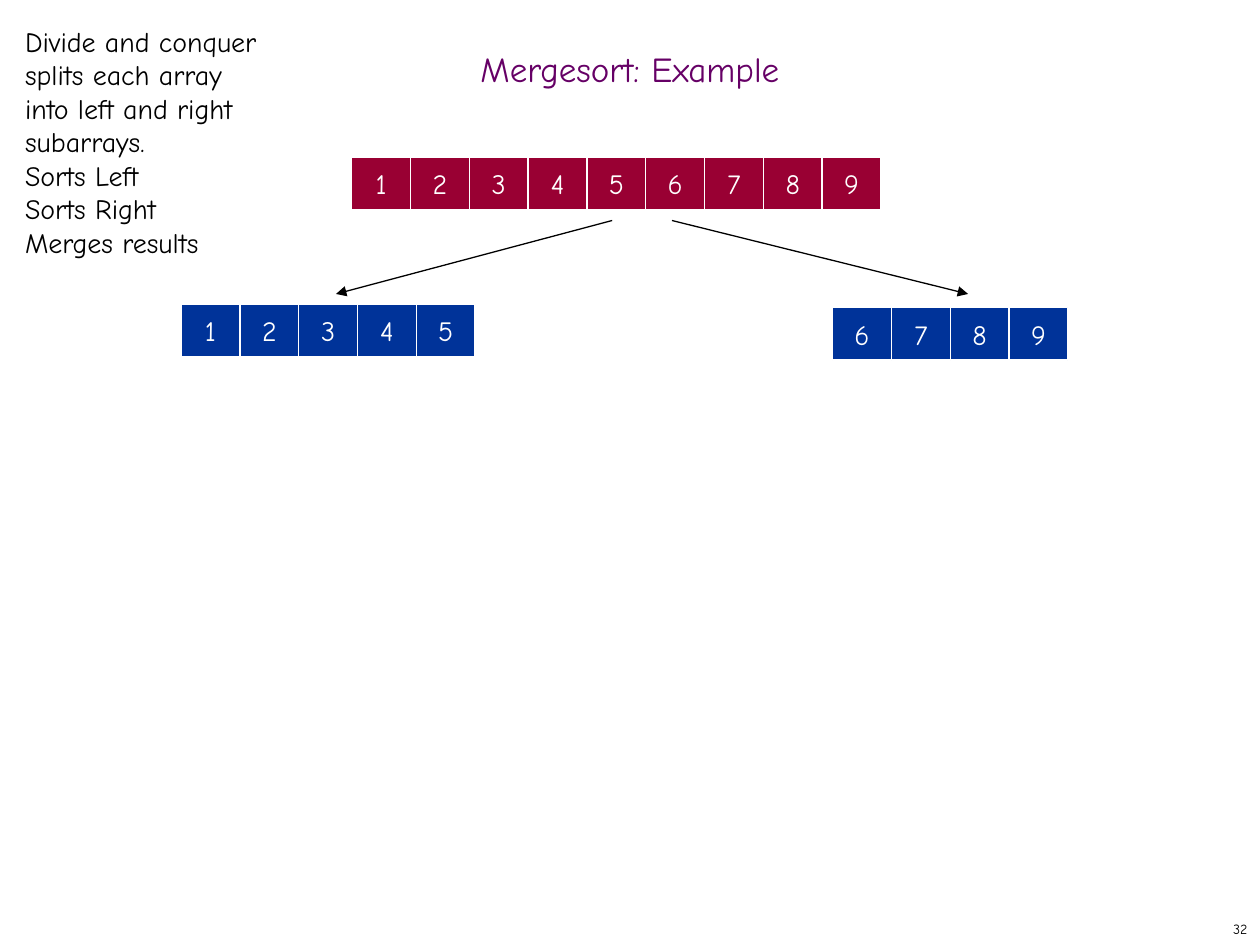
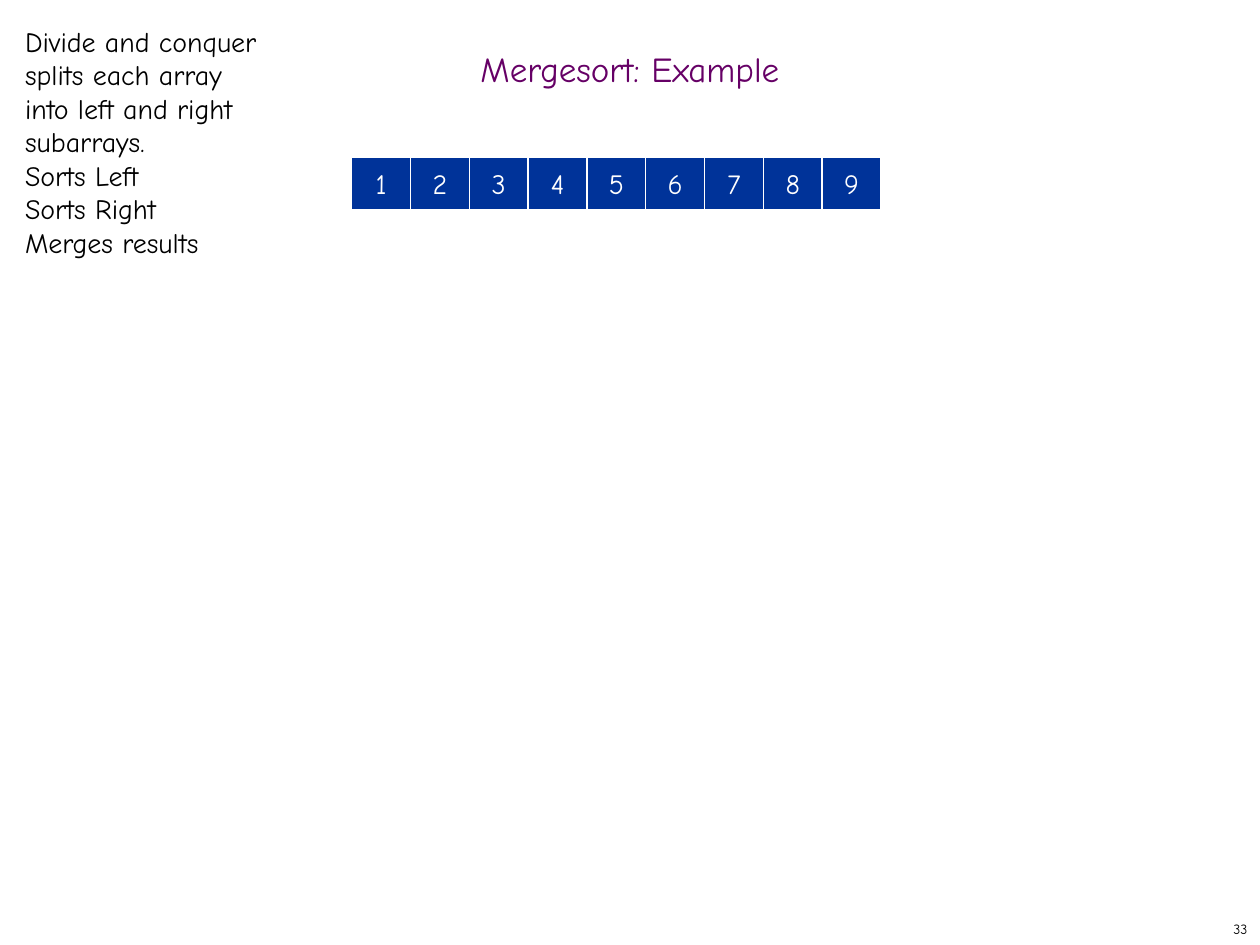
from lxml import etree
from pptx import Presentation
from pptx.dml.color import RGBColor
from pptx.enum.shapes import MSO_CONNECTOR, MSO_SHAPE
from pptx.enum.text import MSO_ANCHOR, PP_ALIGN
from pptx.oxml.ns import qn
from pptx.util import Inches, Pt

RECT = MSO_SHAPE.RECTANGLE
STRAIGHT = MSO_CONNECTOR.STRAIGHT
MIDDLE, TOP = MSO_ANCHOR.MIDDLE, MSO_ANCHOR.TOP
LEFT, CENTER, RIGHT = PP_ALIGN.LEFT, PP_ALIGN.CENTER, PP_ALIGN.RIGHT

FONT = "Comic Neue"
COLORS = {
    "title": "660066",
    "ink": "000000",
    "paper": "FFFFFF",
    "unsorted": "990033",
    "sorted": "003399",
}
COLS, ROWS = 120, 90
UNIT = Inches(10) // COLS
CELL_W, CELL_H = 5.6, 5

TITLE_BOX = (0, 4, COLS, 6)
NOTES_BOX = (1.2, 1.7, 25.8, 23.9)
NUMBER_BOX = (95, 87, 25, 3)
WHOLE_AT = (33.5, 15)
LEFT_AT = (17.25, 29)
RIGHT_AT = (79.3, 29.3)
SPLIT_ARROWS = [((58.3, 21), (32, 28)), ((64, 21), (92.2, 28))]

TITLE = "Mergesort: Example"
STEPS = [
    "Divide and conquer splits each array into left and right subarrays.",
    "Sorts Left",
    "Sorts Right",
    "Merges results",
]
VALUES = list(range(1, 10))
MID = 5


def grid(*lengths):
    return [round(n * UNIT) for n in lengths]


def color(name):
    return RGBColor.from_string(COLORS[name])


def write(sp, lines, size, ink, align=LEFT, anchor=MIDDLE, wrap=True, spacing=None):
    tf = sp.text_frame
    tf.word_wrap = wrap
    tf.vertical_anchor = anchor
    tf.margin_left = tf.margin_right = Inches(0.1)
    tf.margin_top = tf.margin_bottom = Inches(0.05)
    tf.text = "\n".join(lines)
    for p in tf.paragraphs:
        p.alignment = align
        p.line_spacing = spacing
        p.font.name = FONT
        p.font.size = Pt(size)
        p.font.color.rgb = color(ink)


def add_title(s, box):
    sp = s.shapes.title
    sp.left, sp.top, sp.width, sp.height = grid(*box)
    write(sp, [TITLE], 20, "title", CENTER, spacing=0.7)


def add_steps(s, box):
    sp = s.shapes.add_textbox(*grid(*box))
    write(sp, STEPS, 16, "ink", anchor=TOP)


def add_number(s, box, number):
    sp = s.shapes.add_textbox(*grid(*box))
    write(sp, [str(number)], 8, "ink", RIGHT, wrap=False)


def add_array(s, at, values, fill):
    x, y = at
    for i, value in enumerate(values):
        sp = s.shapes.add_shape(RECT, *grid(x + i * CELL_W, y, CELL_W, CELL_H))
        sp.shadow.inherit = False
        sp.fill.solid()
        sp.fill.fore_color.rgb = color(fill)
        sp.line.color.rgb = color("paper")
        sp.line.width = Pt(0.75)
        write(sp, [str(value)], 16, "paper", CENTER, wrap=False)


def add_arrow(s, start, end):
    line = s.shapes.add_connector(STRAIGHT, *grid(*start, *end))
    line.line.color.rgb = color("ink")
    line.line.width = Pt(0.75)
    props = line._element.spPr
    etree.SubElement(props.find(qn("a:ln")), qn("a:tailEnd"), type="triangle")
    etree.SubElement(props, qn("a:effectLst"))


def add_halves(s):
    add_array(s, LEFT_AT, VALUES[:MID], "sorted")
    add_array(s, RIGHT_AT, VALUES[MID:], "sorted")
    for start, end in SPLIT_ARROWS:
        add_arrow(s, start, end)


def add_merge_slide(prs, number, fill):
    s = prs.slides.add_slide(prs.slide_layouts[5])
    add_number(s, NUMBER_BOX, number)
    add_title(s, TITLE_BOX)
    add_array(s, WHOLE_AT, VALUES, fill)
    add_steps(s, NOTES_BOX)
    return s


def main():
    prs = Presentation()
    prs.slide_width, prs.slide_height = grid(COLS, ROWS)
    add_halves(add_merge_slide(prs, 32, "unsorted"))
    add_merge_slide(prs, 33, "sorted")
    prs.save("out.pptx")


if __name__ == "__main__":
    main()
